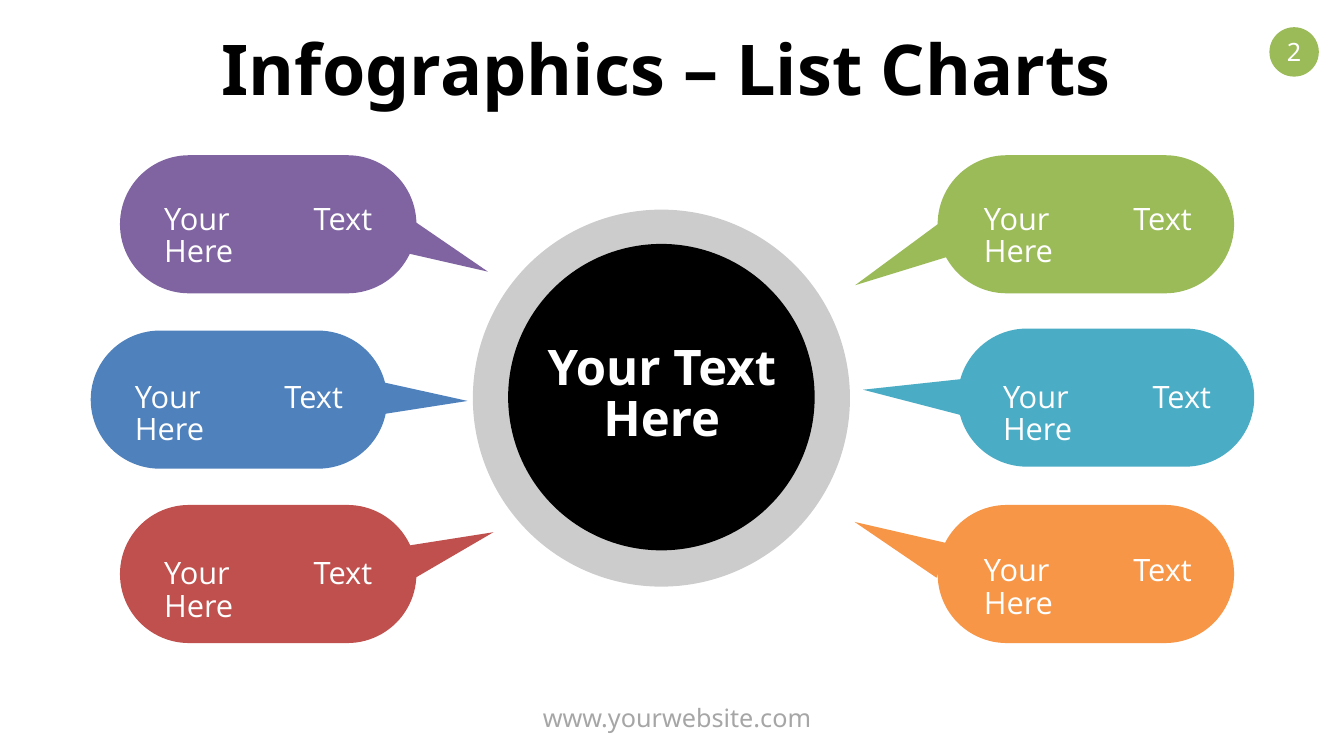
from lxml.etree import SubElement
from pptx import Presentation
from pptx.dml.color import RGBColor
from pptx.enum.shapes import MSO_SHAPE
from pptx.enum.text import MSO_ANCHOR, PP_ALIGN
from pptx.oxml.ns import qn
from pptx.util import Inches, Pt

BLACK = RGBColor(0x00, 0x00, 0x00)
WHITE = RGBColor(0xFF, 0xFF, 0xFF)
GREY = RGBColor(0xA6, 0xA6, 0xA6)
PURPLE = RGBColor(0x80, 0x64, 0xA2)
BLUE = RGBColor(0x4F, 0x81, 0xBD)
RED = RGBColor(0xC0, 0x50, 0x4D)
GREEN = RGBColor(0x9B, 0xBB, 0x59)
TEAL = RGBColor(0x4B, 0xAC, 0xC6)
ORANGE = RGBColor(0xF7, 0x96, 0x46)

LABEL = "Your Text Here"
BUBBLE_SIZE = (2.94, 1.37)
LABEL_SIZE = (2.26, 0.47)
POINTER_WIDTH = 0.36

# colour, bubble corner, label corner, pointer corner, pointer length, pointer rotation
BUBBLES = [
    (PURPLE, (1.19, 1.54), (1.53, 1.95), (4.24, 2.0), 0.94, 109.3),
    (BLUE, (0.9, 3.28), (1.24, 3.72), (3.98, 3.45), 0.95, 87.5),
    (RED, (1.19, 5.01), (1.53, 5.47), (4.25, 4.93), 0.95, 66.1),
    (GREEN, (9.3, 1.54), (9.66, 1.95), (8.79, 2.1), 1.05, 239.3),
    (TEAL, (9.5, 3.26), (9.85, 3.72), (8.87, 3.45), 0.98, 270),
    (ORANGE, (9.3, 5.01), (9.66, 5.44), (8.72, 4.93), 0.95, 289.3),
]


class SlideBuilder:
    heading_font = "Noto Sans"
    body_font = "Open Sans"
    line_spacing = 0.88

    def __init__(self, presentation):
        self.slide = presentation.slides.add_slide(presentation.slide_layouts[5])

    def shape(self, kind, box, color, adjustment=None, rotation=0, opacity=None):
        shape = self.slide.shapes.add_shape(kind, *map(Inches, box))
        shape.shadow.inherit = False
        shape.fill.solid()
        shape.fill.fore_color.rgb = color
        shape.line.fill.background()
        shape.rotation = rotation
        if adjustment is not None:
            shape.adjustments[0] = adjustment
        if opacity is not None:
            color_element = shape.element.spPr.find(".//" + qn("a:srgbClr"))
            SubElement(color_element, qn("a:alpha")).set("val", str(opacity * 1000))
        return shape

    def set_text(self, shape, text, size, color, font, alignment, bold=False):
        shape.text_frame.text = text
        paragraph = shape.text_frame.paragraphs[0]
        paragraph.alignment = alignment
        run_font = paragraph.runs[0].font
        run_font.name = font
        run_font.size = Pt(size)
        run_font.bold = bold
        run_font.color.rgb = color
        return paragraph

    def set_block(self, shape, text, size, *style, **options):
        """Set wrapped text from the top, with tight lines and a matching inset."""
        paragraph = self.set_text(shape, text, size, *style, **options)
        paragraph.line_spacing = self.line_spacing
        frame = shape.text_frame
        frame.word_wrap = True
        frame.vertical_anchor = MSO_ANCHOR.TOP
        frame.margin_top = Inches(0.05) + Pt(0.08 * size)

    def text(self, box, *style, **options):
        text_box = self.slide.shapes.add_textbox(*map(Inches, box))
        self.set_block(text_box, *style, **options)

    def title(self, box, text):
        title = self.slide.shapes.title
        title.left, title.top, title.width, title.height = map(Inches, box)
        self.set_block(title, text, 50, BLACK, self.heading_font, PP_ALIGN.CENTER, bold=True)

    def page_number(self, box, number):
        badge = self.shape(MSO_SHAPE.OVAL, box, GREEN)
        badge.text_frame.word_wrap = False
        badge.text_frame.vertical_anchor = MSO_ANCHOR.MIDDLE
        self.set_text(badge, number, 18, WHITE, self.heading_font, PP_ALIGN.CENTER)

    def pointer(self, color, corner, length, rotation):
        box = (*corner, POINTER_WIDTH, length)
        self.shape(MSO_SHAPE.ISOSCELES_TRIANGLE, box, color, 0.706, rotation)

    def bubble(self, color, corner, label_corner):
        self.shape(MSO_SHAPE.ROUNDED_RECTANGLE, (*corner, *BUBBLE_SIZE), color, 0.5)
        self.text((*label_corner, *LABEL_SIZE), LABEL, 22, WHITE,
                  self.body_font, PP_ALIGN.JUSTIFY)

    def hub(self):
        self.shape(MSO_SHAPE.OVAL, (4.69, 2.08, 3.74, 3.74), BLACK, opacity=20)
        self.shape(MSO_SHAPE.OVAL, (5.04, 2.42, 3.04, 3.04), BLACK)
        self.text((4.96, 3.32, 3.21, 1.28), LABEL, 35, WHITE,
                  self.body_font, PP_ALIGN.CENTER, bold=True)


def main():
    presentation = Presentation()
    presentation.slide_width = Inches(13.33)
    presentation.slide_height = Inches(7.5)
    builder = SlideBuilder(presentation)
    builder.title((1.32, 0.26, 10.58, 0.94), "Infographics – List Charts")
    for color, _, _, corner, length, rotation in BUBBLES:
        builder.pointer(color, corner, length, rotation)
    builder.hub()
    for color, corner, label_corner, *_ in BUBBLES:
        builder.bubble(color, corner, label_corner)
    builder.text((0.5, 6.94, 12.43, 0.4), "www.yourwebsite.com", 18, GREY,
                 builder.heading_font, PP_ALIGN.CENTER)
    builder.page_number((12.59, 0.27, 0.49, 0.49), "2")
    presentation.save("out.pptx")


if __name__ == "__main__":
    main()
